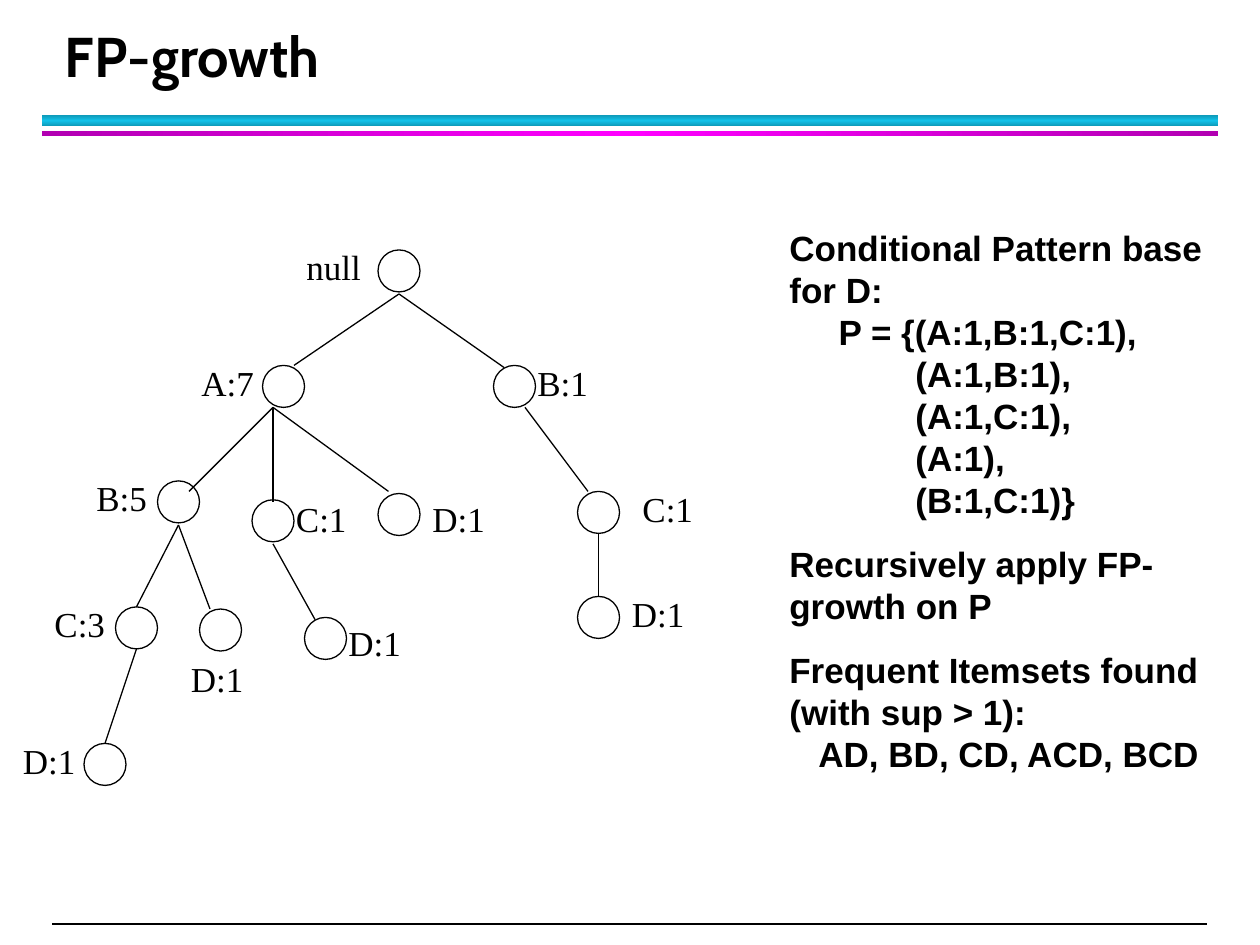
from copy import deepcopy
from dataclasses import dataclass
from typing import NamedTuple

from pptx import Presentation
from pptx.dml.color import RGBColor as Rgb
from pptx.enum.shapes import MSO_CONNECTOR as Connector, MSO_SHAPE as Preset
from pptx.enum.text import MSO_ANCHOR as Anchor
from pptx.oxml.ns import qn
from pptx.oxml.xmlchemy import OxmlElement
from pptx.util import Emu, Inches, Pt


@dataclass(frozen=True)
class Theme:
    ink: Rgb = Rgb(0, 0, 0)
    cyan: tuple[str, str] = ("0E9BBA", "12C2E9")
    magenta: tuple[str, str] = ("B200B2", "FF00FF")
    title_font: str = "Cabin"
    label_font: str = "Times New Roman"
    body_font: str = "Arial"
    title_size: int = 32
    text_size: int = 20
    title_leading: int = 36
    leading: int = 24
    gap: float = 12.5
    stroke: float = 0.75


class Area(NamedTuple):
    column: float
    row: float
    columns: float
    rows: float


class Node(NamedTuple):
    label: str
    column: float
    row: float
    label_column: float
    label_row: float


class Edge(NamedTuple):
    start_column: float
    start_row: float
    end_column: float
    end_row: float


class Line(NamedTuple):
    text: str
    indent: float = 0
    before: float = 0


THEME = Theme()
CELL = Inches(1) / 12
TREE_TOP = -0.2
DIAMETER = 4
LABEL_COLUMNS, LABEL_ROWS = 8, 5.3

NODES = [
    Node("null", 36, 24, 28, 23),
    Node("A:7", 25, 35, 18, 34),
    Node("B:1", 47, 35, 50, 34),
    Node("B:5", 15, 46, 8, 45),
    Node("C:1", 24, 47.8, 27, 47),
    Node("D:1", 36, 47.2, 40, 47),
    Node("C:1", 55, 47, 60, 46),
    Node("C:3", 11, 58, 4, 57),
    Node("D:1", 19, 58.2, 17, 62.2),
    Node("D:1", 29, 59, 32, 58.8),
    Node("D:1", 55, 57, 59, 56),
    Node("D:1", 8, 71, 1, 70),
]
EDGES = [
    Edge(38, 28.2, 28, 35),
    Edge(38, 28.2, 48, 35.2),
    Edge(26, 39, 18, 47),
    Edge(26, 39, 26, 48),
    Edge(26, 39, 37, 47),
    Edge(50, 39, 56, 47),
    Edge(57, 51, 57, 57),
    Edge(17, 50.2, 13, 58),
    Edge(17, 50.2, 20, 58.2),
    Edge(26, 52, 30, 59.2),
    Edge(13, 62, 10, 71),
]
TITLE = [Line("FP-growth")]
NOTES = [
    Line("Conditional Pattern base for D:"),
    Line("P = {(A:1,B:1,C:1),", 0.39),
    Line("(A:1,B:1),", 1),
    Line("(A:1,C:1),", 1),
    Line("(A:1),", 1),
    Line("(B:1,C:1)}", 1),
    Line("Recursively apply FP-growth on P", 0, THEME.gap),
    Line("Frequent Itemsets found (with sup > 1):", 0, THEME.gap),
    Line("AD, BD, CD, ACD, BCD", 0.23),
]


def cells(count: float) -> Emu:
    """Return the length of a number of grid cells."""
    return Emu(round(count * CELL))


def add_text(page, area: Area, lines: list[Line], font: str, size: int,
             leading: int, bold: bool = False, anchor=Anchor.TOP) -> None:
    """Place lines of text, one paragraph each."""
    box = page.shapes.add_textbox(*map(cells, area))
    frame = box.text_frame
    frame.word_wrap = True
    frame.vertical_anchor = anchor
    frame.text = "\n".join(line.text for line in lines)
    for para, line in zip(frame.paragraphs, lines):
        para.line_spacing = Pt(leading)
        if line.before:
            para.space_before = Pt(line.before)
        if line.indent:
            para._p.get_or_add_pPr().set("marL", str(Inches(line.indent)))
        for span in para.runs:
            span.font.name = font
            span.font.size = Pt(size)
            span.font.bold = bold
            span.font.color.rgb = THEME.ink


def add_band(page, area: Area, colors: tuple[str, str], angle: int) -> None:
    """Draw a bar shaded from edge to centre and back."""
    band = page.shapes.add_shape(Preset.RECTANGLE, *map(cells, area))
    band.shadow.inherit = False
    band.line.fill.background()
    band.fill.gradient()
    band.fill.gradient_angle = angle
    stop_list = next(band._element.iter(qn("a:gsLst")))
    stop_list.append(deepcopy(stop_list[0]))
    edge, centre = colors
    for stop, color, position in zip(band.fill.gradient_stops, (edge, centre, edge), (0, 0.5, 1)):
        stop.color.rgb = Rgb.from_string(color)
        stop.position = position


def add_line(page, edge: Edge) -> None:
    """Draw a thin straight line between two grid points."""
    line = page.shapes.add_connector(Connector.STRAIGHT, *map(cells, edge))
    line.line.color.rgb = THEME.ink
    line.line.width = Pt(THEME.stroke)
    line._element.spPr.append(OxmlElement("a:effectLst"))


def add_node(page, node: Node) -> None:
    """Draw a tree node and its label."""
    area = Area(node.column, node.row + TREE_TOP, DIAMETER, DIAMETER)
    circle = page.shapes.add_shape(Preset.OVAL, *map(cells, area))
    circle.shadow.inherit = False
    circle.fill.background()
    circle.line.color.rgb = THEME.ink
    circle.line.width = Pt(THEME.stroke)
    label_area = Area(node.label_column, node.label_row + TREE_TOP, LABEL_COLUMNS, LABEL_ROWS)
    add_text(page, label_area, [Line(node.label)], THEME.label_font, THEME.text_size, THEME.leading)


def main() -> None:
    """Build the slide and save it."""
    deck = Presentation()
    deck.slide_width, deck.slide_height = cells(120), cells(90)
    page = deck.slides.add_slide(deck.slide_layouts[6])
    add_band(page, Area(4, 11, 112, 1), THEME.cyan, 90)
    add_band(page, Area(4, 12.5, 112, 0.5), THEME.magenta, 0)
    add_text(page, Area(5, 2, 108.7, 7), TITLE, THEME.title_font, THEME.title_size,
             THEME.title_leading, True, Anchor.BOTTOM)
    for edge in EDGES:
        add_line(page, Edge(edge.start_column, edge.start_row + TREE_TOP,
                            edge.end_column, edge.end_row + TREE_TOP))
    for node in NODES:
        add_node(page, node)
    add_text(page, Area(74, 21, 44, 53.4), NOTES, THEME.body_font, THEME.text_size,
             THEME.leading, True)
    add_line(page, Edge(5, 88, 115, 88))
    deck.save("out.pptx")


if __name__ == "__main__":
    main()
